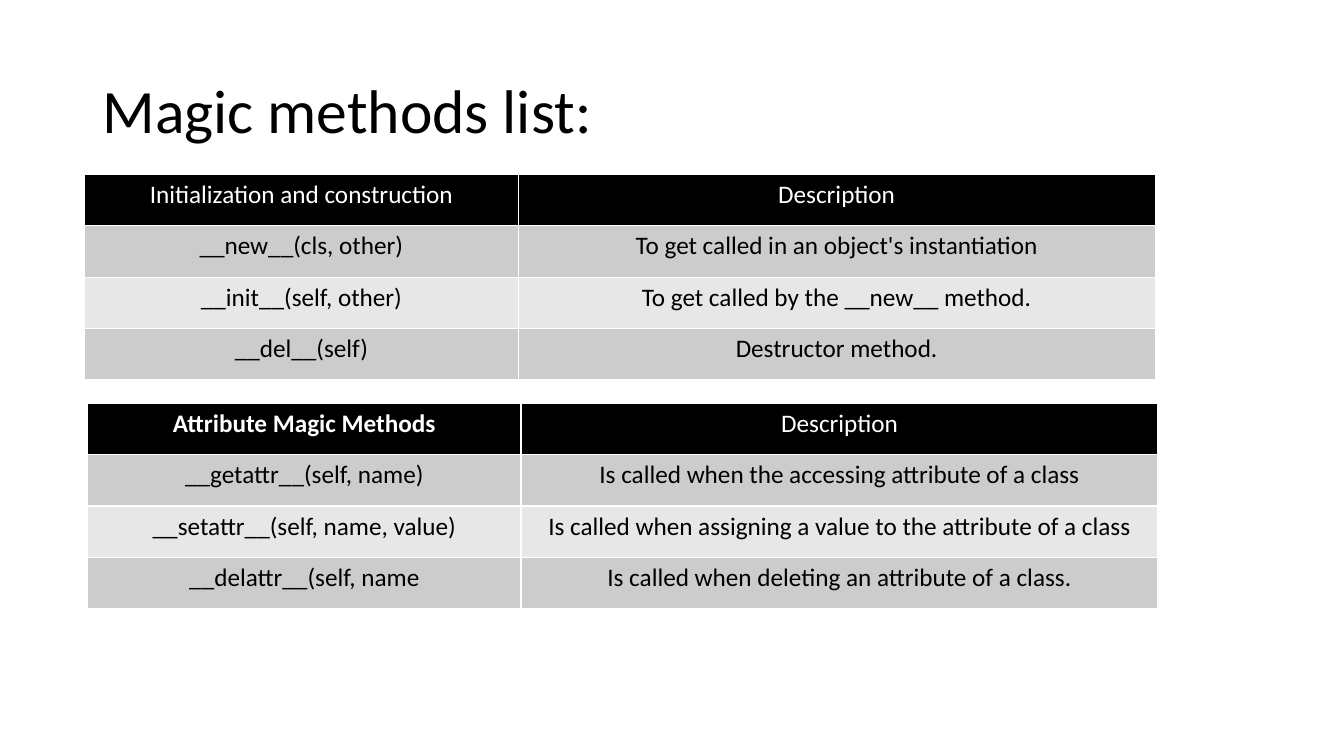
import pptx
import pptx.util
import pptx.dml.color
import pptx.enum.text

Pt = pptx.util.Pt
RGB = pptx.dml.color.RGBColor
ALIGN = pptx.enum.text.PP_ALIGN
ANCHOR = pptx.enum.text.MSO_ANCHOR
FIT = pptx.enum.text.MSO_AUTO_SIZE

BLACK = RGB(0x00, 0x00, 0x00)
WHITE = RGB(0xFF, 0xFF, 0xFF)
DARK = RGB(0xCC, 0xCC, 0xCC)
LIGHT = RGB(0xE7, 0xE7, 0xE7)

WIDTHS = (309.6, 455.04)
ROW = 36.72

SETUP = (
    ("Initialization and construction", "Description"),
    ("__new__(cls, other)", "To get called in an object's instantiation"),
    ("__init__(self, other)", "To get called by the __new__ method."),
    ("__del__(self)", "Destructor method."),
)
ACCESS = (
    ("Attribute Magic Methods", "Description"),
    ("__getattr__(self, name)",
     "Is called when the accessing attribute of a class"),
    ("__setattr__(self, name, value)",
     "Is called when assigning a value to the attribute of a class"),
    ("__delattr__(self, name",
     "Is called when deleting an attribute of a class."),
)


class Page:
    """Holds the text style and the current slide."""

    def __init__(self, slide, face="Calibri"):
        self.slide = slide
        self.face = face

    def style(self, para, size, color, bold=False):
        for run in para.runs:
            run.font.name = self.face
            run.font.size = Pt(size)
            run.font.bold = bold
            run.font.color.rgb = color

    def title(self, text, left, top, width, height):
        shape = self.slide.shapes.title
        shape.left, shape.top = Pt(left), Pt(top)
        shape.width, shape.height = Pt(width), Pt(height)
        frame = shape.text_frame
        frame.text = text
        frame.word_wrap = True
        frame.auto_size = FIT.NONE
        frame.vertical_anchor = ANCHOR.MIDDLE
        para = frame.paragraphs[0]
        para.alignment = ALIGN.LEFT
        para.line_spacing = 0.9
        self.style(para, 44, BLACK)

    def table(self, data, left, top, bold=False):
        """Draw a table; bold applies to its first heading."""
        grid = self.slide.shapes.add_table(
            len(data), len(WIDTHS), Pt(left), Pt(top),
            Pt(sum(WIDTHS)), Pt(ROW * len(data))).table
        for col, width in zip(grid.columns, WIDTHS):
            col.width = Pt(width)
        for r, line in enumerate(data):
            grid.rows[r].height = Pt(ROW)
            head = r == 0
            fill = BLACK if head else DARK if r % 2 else LIGHT
            for c, text in enumerate(line):
                cell = grid.cell(r, c)
                cell.fill.solid()
                cell.fill.fore_color.rgb = fill
                cell.text_frame.text = text
                para = cell.text_frame.paragraphs[0]
                para.alignment = ALIGN.CENTER
                self.style(para, 18, WHITE if head else BLACK,
                           bold and head and c == 0)


def main():
    deck = pptx.Presentation()
    deck.slide_width, deck.slide_height = Pt(960), Pt(540)
    page = Page(deck.slides.add_slide(deck.slide_layouts[5]))

    # Heading
    page.title("Magic methods list:", 66, 28.8, 828, 104.4)

    # Method tables
    page.table(SETUP, 60.5, 124.6)
    page.table(ACCESS, 62.6, 288, bold=True)

    deck.save("out.pptx")


if __name__ == "__main__":
    main()
